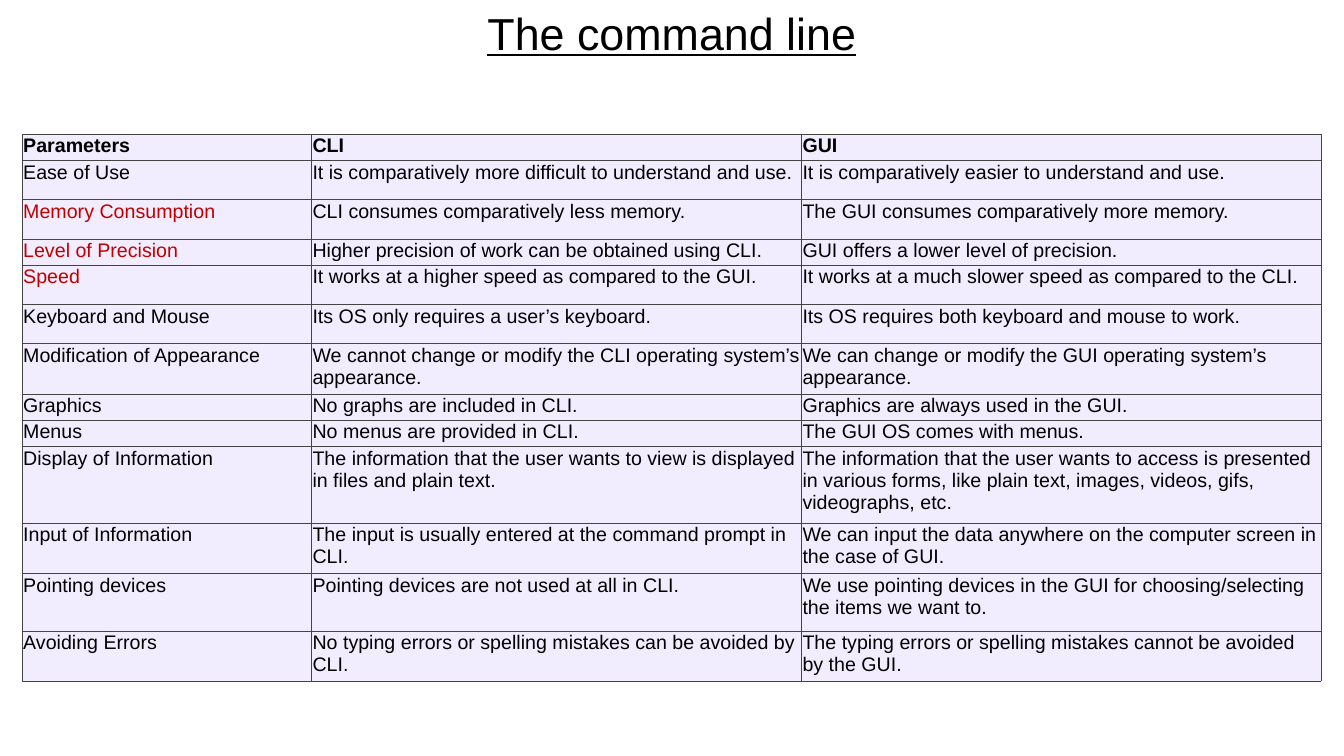
import pptx
import pptx.util
import pptx.dml.color
import pptx.enum.text
import pptx.oxml
import lxml.etree
from pptx.oxml.ns import qn

Inches = pptx.util.Inches
Pt = pptx.util.Pt

COLORS = {"text": "000000", "highlight": "C00000", "cell": "F1EDFF", "border": "444444"}
FONT = "Arial"
COLUMN_WIDTHS = [2.87, 4.86, 5.15]
HEADINGS = ("Parameters", "CLI", "GUI")
HIGHLIGHTED = {"Memory Consumption", "Level of Precision", "Speed"}
HEADING_HEIGHT = 0.26
COMPARISONS = [
    (0.39, "Ease of Use",
     "It is comparatively more difficult to understand and use.",
     "It is comparatively easier to understand and use."),
    (0.39, "Memory Consumption",
     "CLI consumes comparatively less memory.",
     "The GUI consumes comparatively more memory."),
    (0.26, "Level of Precision",
     "Higher precision of work can be obtained using CLI.",
     "GUI offers a lower level of precision."),
    (0.39, "Speed",
     "It works at a higher speed as compared to the GUI.",
     "It works at a much slower speed as compared to the CLI."),
    (0.39, "Keyboard and Mouse",
     "Its OS only requires a user’s keyboard.",
     "Its OS requires both keyboard and mouse to work."),
    (0.5, "Modification of Appearance",
     "We cannot change or modify the CLI operating system’s appearance.",
     "We can change or modify the GUI operating system’s appearance."),
    (0.26, "Graphics",
     "No graphs are included in CLI.",
     "Graphics are always used in the GUI."),
    (0.26, "Menus",
     "No menus are provided in CLI.",
     "The GUI OS comes with menus."),
    (0.76, "Display of Information",
     "The information that the user wants to view is displayed in files and plain text.",
     "The information that the user wants to access is presented in various forms, "
     "like plain text, images, videos, gifs, videographs, etc."),
    (0.5, "Input of Information",
     "The input is usually entered at the command prompt in CLI.",
     "We can input the data anywhere on the computer screen in the case of GUI."),
    (0.57, "Pointing devices",
     "Pointing devices are not used at all in CLI.",
     "We use pointing devices in the GUI for choosing/selecting the items we want to."),
    (0.5, "Avoiding Errors",
     "No typing errors or spelling mistakes can be avoided by CLI.",
     "The typing errors or spelling mistakes cannot be avoided by the GUI."),
]


def rgb(name):
    return pptx.dml.color.RGBColor.from_string(COLORS[name])


def format_font(font, size, color="text", bold=False, underline=False):
    font.name = FONT
    font.size = Pt(size)
    font.bold = bold
    font.underline = underline
    font.color.rgb = rgb(color)


def set_title(slide, wording, width, height):
    title = slide.shapes.title
    title.left, title.top, title.width, title.height = 0, 0, width, height
    title.text_frame.text = wording
    title.text_frame.vertical_anchor = pptx.enum.text.MSO_ANCHOR.MIDDLE
    heading = title.text_frame.paragraphs[0]
    heading.alignment = pptx.enum.text.PP_ALIGN.CENTER
    format_font(heading.font, 32, underline=True)


def add_borders(cell):
    properties = cell._tc.get_or_add_tcPr()
    for position, side in enumerate(("lnL", "lnR", "lnT", "lnB")):
        border = lxml.etree.Element(qn(f"a:{side}"), w=str(Pt(0.38)))
        fill = lxml.etree.SubElement(border, qn("a:solidFill"))
        lxml.etree.SubElement(fill, qn("a:srgbClr"), val=COLORS["border"])
        properties.insert(position, border)


def fill_cell(cell, wording, color, bold):
    cell.text = wording
    cell.fill.solid()
    cell.fill.fore_color.rgb = rgb("cell")
    cell.margin_left = cell.margin_right = Inches(0.01)
    cell.margin_top = cell.margin_bottom = Inches(0.01)
    format_font(cell.text_frame.paragraphs[0].font, 14, color, bold)
    add_borders(cell)


def add_comparison(slide, left, top):
    rows = [(HEADING_HEIGHT, *HEADINGS), *COMPARISONS]
    total_height = sum(height for height, *_ in rows)
    comparison = slide.shapes.add_table(
        len(rows), len(HEADINGS), Inches(left), Inches(top),
        Inches(sum(COLUMN_WIDTHS)), Inches(total_height)).table
    for column, width in zip(comparison.columns, COLUMN_WIDTHS):
        column.width = Inches(width)
    for index, (height, *wordings) in enumerate(rows):
        comparison.rows[index].height = Inches(height)
        for cell, wording in zip(comparison.rows[index].cells, wordings):
            color = "highlight" if wording in HIGHLIGHTED else "text"
            fill_cell(cell, wording, color, bold=index == 0)


def main():
    deck = pptx.Presentation()
    deck.slide_width = Inches(13.33)
    deck.slide_height = Inches(7.5)
    slide = deck.slides.add_slide(deck.slide_layouts[5])
    set_title(slide, "The command line", deck.slide_width, Inches(0.64))
    add_comparison(slide, 0.22, 1.33)
    deck.save("out.pptx")


if __name__ == "__main__":
    main()
